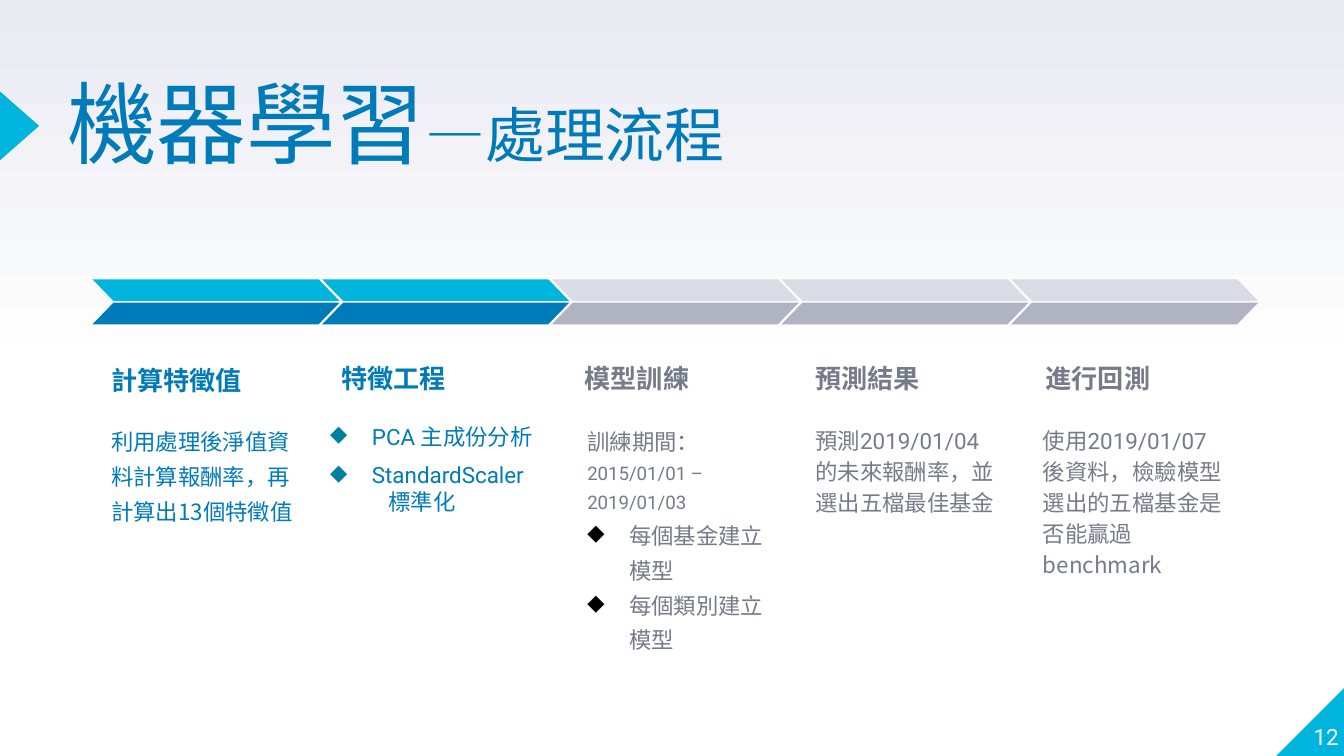
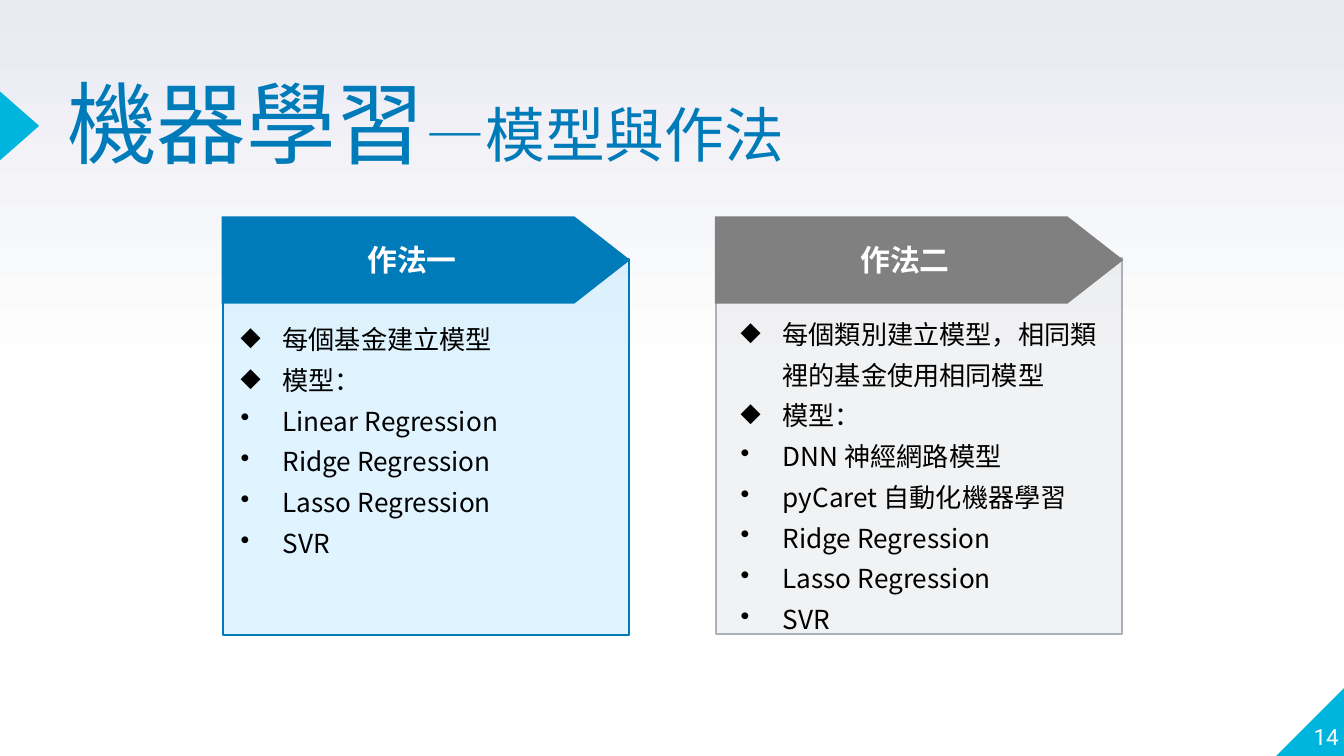
"""Builds two machine learning slides: the processing flow and the two approaches."""
from lxml.etree import SubElement
from pptx import Presentation
from pptx.dml.color import RGBColor as RGB
from pptx.enum.shapes import MSO_SHAPE as SHAPE
from pptx.enum.text import MSO_ANCHOR as ANCHOR, PP_ALIGN as ALIGN
from pptx.oxml.ns import qn
from pptx.util import Cm, Pt

COLORS = {
    "cyan": "00B5DD", "blue": "007BB9", "teal": "00809E", "pale": "DADCE5",
    "silver": "B0B3C1", "slate": "757B89", "gray": "808080", "sky": "7DD3FF",
    "mist": "C8CAD0", "edge": "ACB0B8", "white": "FFFFFF", "black": "000000",
    "lavender": "E9EAF2",
}
CJK, ROBOTO, DASH = "Noto Sans CJK SC", "Roboto", "Manrope"
HANG = 0.79
WIDE, NARROW, NONE = (0.25, 0.25), (0.18, 0.1), (0, 0)


def add_block(slide, kind, box, fill, adjust=None, flip=False):
    shape = slide.shapes.add_shape(kind, *map(Cm, box))
    shape.shadow.inherit = False
    shape.fill.solid()
    shape.fill.fore_color.rgb = RGB.from_string(COLORS[fill])
    shape.line.fill.background()
    if adjust:
        shape.adjustments[0] = adjust
    if flip:
        shape._element.spPr.find(qn("a:xfrm")).set("flipH", "1")
    return shape


def write(shape, paragraphs, color, insets=WIDE, anchor=ANCHOR.TOP, wrap=True):
    """Each paragraph is (runs, format, bullet, indent); each run is (text, font, size, bold)."""
    frame = shape.text_frame
    across, down = map(Cm, insets)
    settings = {"margin_left": across, "margin_right": across, "margin_top": down,
                "margin_bottom": down, "vertical_anchor": anchor, "word_wrap": wrap}
    for name, value in settings.items():
        setattr(frame, name, value)
    for index, (runs, layout, bullet, indent) in enumerate(paragraphs):
        paragraph = frame.add_paragraph() if index else frame.paragraphs[0]
        for name, value in layout.items():
            setattr(paragraph, name, value)
        properties = paragraph._p.get_or_add_pPr()
        if indent:
            properties.set("marL", str(Cm(indent)))
        if bullet:
            character, bullet_color = bullet
            properties.set("indent", str(-Cm(indent)))
            tint = SubElement(properties, qn("a:buClr"))
            SubElement(tint, qn("a:srgbClr"), val=COLORS[bullet_color])
            SubElement(properties, qn("a:buChar"), char=character)
        for text, font, size, bold in runs:
            run = paragraph.add_run()
            run.text = text
            for name, value in {"name": font, "size": Pt(size), "bold": bold}.items():
                setattr(run.font, name, value)
            run.font.color.rgb = RGB.from_string(COLORS[color])
            SubElement(run._r.get_or_add_rPr(), qn("a:ea"), typeface=CJK)


presentation = Presentation()
presentation.slide_width, presentation.slide_height = Cm(25.4), Cm(14.29)

slides = []
for subtitle, number in [("處理流程", "12"), ("模型與作法", "14")]:
    slide = presentation.slides.add_slide(presentation.slide_layouts[6])
    slides.append(slide)
    background = slide.background.fill
    background.gradient()
    background.gradient_angle = 90
    for stop, position, color in zip(background.gradient_stops, (0.5, 1), ("white", "lavender")):
        stop.position = position
        stop.color.rgb = RGB.from_string(COLORS[color])
    add_block(slide, SHAPE.RIGHT_TRIANGLE, (24.12, 12.99, 1.3, 1.3), "cyan", flip=True)
    marker = add_block(slide, SHAPE.ISOSCELES_TRIANGLE, (-0.28, 2.01, 1.3, 0.74), "cyan")
    marker.rotation = 90
    title = slide.shapes.add_textbox(Cm(1.27), Cm(1.68), Cm(21.74), Cm(3))
    title_runs = [("機器學習", CJK, 48, False), ("—", DASH, 32, False), (subtitle, CJK, 32, False)]
    write(title, [(title_runs, {"line_spacing": 0.8}, None, 0)], "blue", NONE)
    page = slide.shapes.add_textbox(Cm(24.03), Cm(12.88), Cm(1.27), Cm(1.3))
    write(page, [([(number, ROBOTO, 12, False)], {"alignment": ALIGN.RIGHT}, None, 0)],
          "white", NONE, ANCHOR.BOTTOM)

flow_slide, approach_slide = slides

loose = {"line_spacing": 1.3}
medium = {"line_spacing": 1.15, "space_after": Pt(16)}
spaced = {"space_after": Pt(6)}
teal_diamond, black_diamond = ("◆", "teal"), ("◆", "black")
steps = [
    ("計算特徵值", (1.85, 6.43), (1.85, 7.7, 4.24), [
        ([("利用處理後淨值資料計算報酬率，再計算出13個特徵值", CJK, 12, False)], loose, None, 0)]),
    ("特徵工程", (6.2, 6.4), (5.99, 7.75, 4.57), [
        ([("PCA ", ROBOTO, 12, False), ("主成份分析", CJK, 12, False)], spaced, teal_diamond, HANG),
        ([("StandardScaler", ROBOTO, 12, False)], {}, teal_diamond, HANG),
        ([("標準化", CJK, 12, False)], spaced, None, 1.1)]),
    ("模型訓練", (10.8, 6.4), (10.85, 7.7, 4.24), [
        ([("訓練期間：", CJK, 12, False)], loose, None, 0),
        ([("2015/01/01 – 2019/01/03", ROBOTO, 10, False)], loose, None, 0),
        ([("每個基金建立模型", CJK, 12, False)], loose, black_diamond, HANG),
        ([("每個類別建立模型", CJK, 12, False)], loose, black_diamond, HANG)]),
    ("預測結果", (15.16, 6.4), (15.16, 7.75, 3.96), [
        ([("預測", CJK, 12, False), ("2019/01/04", ROBOTO, 12, False),
          ("的未來報酬率，並選出五檔最佳基金", CJK, 12, False)], medium, None, 0)]),
    ("進行回測", (19.51, 6.4), (19.46, 7.75, 3.89), [
        ([("使用", CJK, 12, False), ("2019/01/07", ROBOTO, 12, False),
          ("後資料，檢驗模型選出的五檔基金是否能贏過benchmark", CJK, 12, False)], medium, None, 0)]),
]
for index, (heading, heading_place, (left, top, width), body) in enumerate(steps):
    active = index < 2
    upper, lower, color = ("cyan", "blue", "blue") if active else ("pale", "silver", "slate")
    chevron_left = 1.75 + 4.34 * index
    add_block(flow_slide, SHAPE.PARALLELOGRAM, (chevron_left, 5.28, 4.67, 0.41), upper, 0.97, True)
    add_block(flow_slide, SHAPE.PARALLELOGRAM, (chevron_left, 5.72, 4.67, 0.41), lower, 0.97)
    heading_box = flow_slide.shapes.add_textbox(*map(Cm, heading_place), Cm(3.84), Cm(1.3))
    write(heading_box, [([(heading, ROBOTO, 14, True)], {"line_spacing": 1.15}, None, 0)],
          color, anchor=ANCHOR.BOTTOM)
    body_box = flow_slide.shapes.add_textbox(Cm(left), Cm(top), Cm(width), Cm(2.1))
    write(body_box, body, color)

approaches = [
    ("作法一", 4.19, 4.9, "blue", "sky", "blue", (4.37, 5.84, 7.57, 7.11),
     ["每個基金建立模型", "模型："],
     ["Linear Regression", "Ridge Regression", "Lasso Regression", "SVR"]),
    ("作法二", 13.51, 4.88, "gray", "mist", "edge", (13.82, 5.74, 7.42, 6.32),
     ["每個類別建立模型，相同類裡的基金使用相同模型", "模型："],
     ["DNN 神經網路模型", "pyCaret 自動化機器學習", "Ridge Regression", "Lasso Regression", "SVR"]),
]
for name, left, panel_top, banner_fill, panel_fill, edge, text_box, points, models in approaches:
    panel = add_block(approach_slide, SHAPE.RECTANGLE, (left + 0.03, panel_top, 7.67, 7.11), panel_fill)
    SubElement(panel._element.spPr.find(".//" + qn("a:srgbClr")), qn("a:alpha"), val="24000")
    panel.line.color.rgb = RGB.from_string(COLORS[edge])
    panel.line.width = Pt(1)
    banner = add_block(approach_slide, SHAPE.PENTAGON, (left, 4.09, 7.72, 1.65), banner_fill, 0.64)
    write(banner, [([(name, CJK, 16, True)], {"alignment": ALIGN.CENTER}, None, 0)],
          "white", NARROW, ANCHOR.MIDDLE, False)
    bulleted = [(text, "◆") for text in points] + [(text, "•") for text in models]
    write(approach_slide.shapes.add_textbox(*map(Cm, text_box)),
          [([(text, CJK, 14, False)], loose, (mark, "black"), HANG) for text, mark in bulleted],
          "black", NARROW)

presentation.save("out.pptx")
